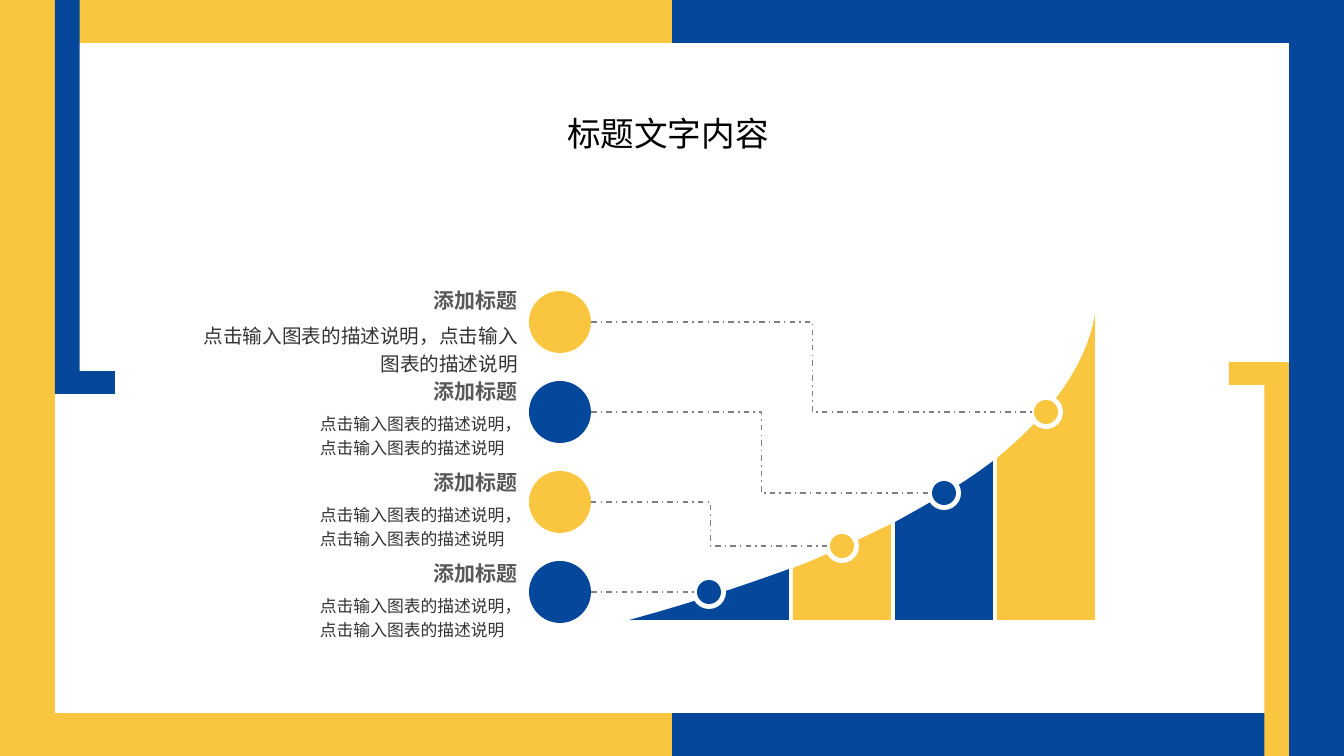
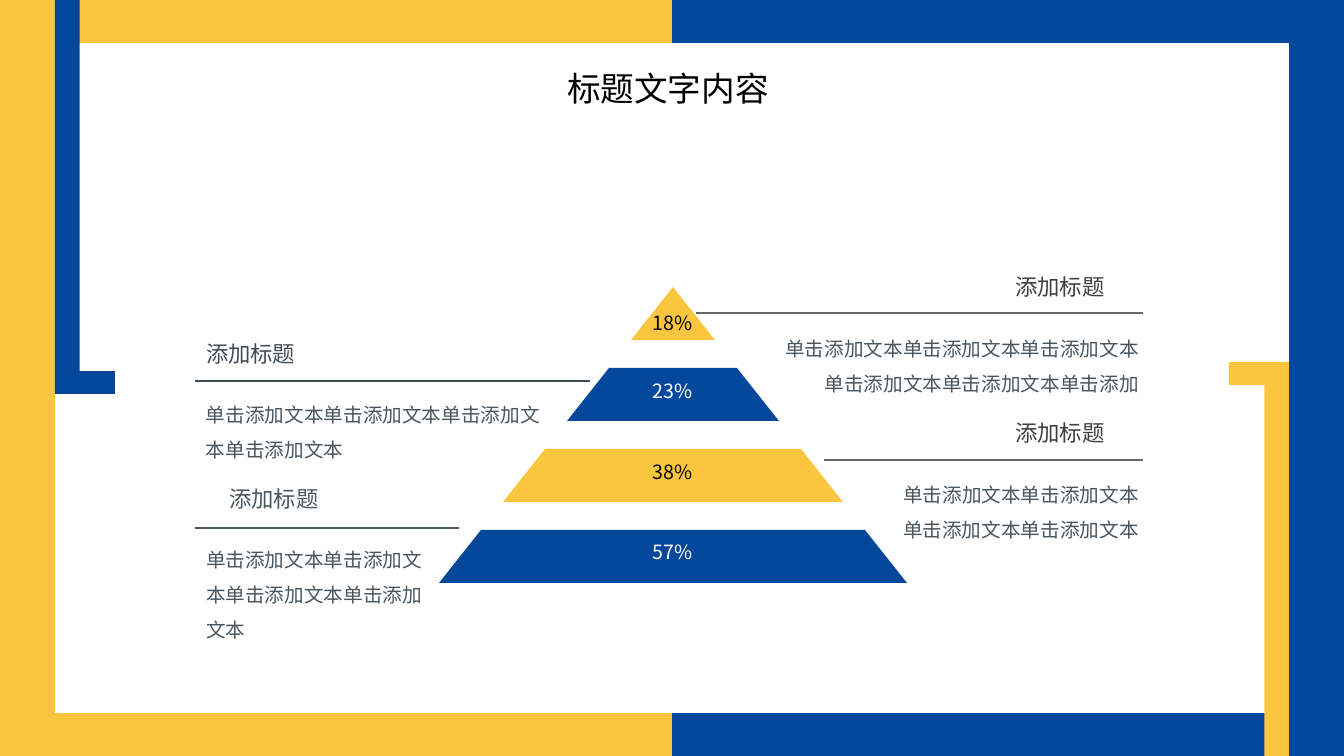
"""Build two framed chart slides: a growth curve and a percentage pyramid."""
from dataclasses import dataclass
from typing import Optional

import lxml.etree
import pptx
import pptx.dml.color
import pptx.enum.dml
import pptx.enum.shapes
import pptx.enum.text
import pptx.oxml.ns
import pptx.util

EMU_PER_PX = 914400 / 100.8
SLIDE_WIDTH, SLIDE_HEIGHT = 1344, 756
FONT = "Noto Sans CJK SC"
COLORS = {
    "yellow": "FBC63F", "blue": "05489B", "white": "FFFFFF", "black": "000000",
    "connector": "808080", "label": "595959", "description": "333333",
    "right_line": "686868", "right_label": "404040",
    "slate": "49555F", "dark_slate": "414C55",
}
SHAPES = pptx.enum.shapes.MSO_SHAPE
CONNECTORS = pptx.enum.shapes.MSO_CONNECTOR
ALIGN = pptx.enum.text.PP_ALIGN
DASH = pptx.enum.dml.MSO_LINE

HEADING = "标题文字内容"
LABEL = "添加标题"
DESCRIPTION = "点击输入图表的描述说明，点击输入图表的描述说明"
BODY = "单击添加文本" * 4
LONG_BODY = "单击添加文本" * 5 + "单击添加"

BASELINE = 620
CURVE_STEPS = 16
CIRCLE_LEFT, CIRCLE_TOP, CIRCLE_SIZE, CIRCLE_PITCH = 529, 291, 62, 90
DOT_SIZE, RING_SIZE = 24, 34
LABEL_TOP, DESCRIPTION_TOP, TEXT_RIGHT, TEXT_PITCH = 284, 315, 525, 91
PYRAMID_CENTER, PYRAMID_TOP = 673, 287
TIER_HEIGHT, TIER_PITCH, TIER_SLANT, TIER_STEP = 53, 81, 42, 64


@dataclass(frozen=True)
class Box:
    left: int
    top: int
    width: int
    height: int


@dataclass(frozen=True)
class TextStyle:
    size: int
    color: str
    align: ALIGN = ALIGN.LEFT
    bold: bool = False
    wrap: bool = False
    spacing: Optional[float] = None
    margin: tuple[int, int] = (10, 5)


@dataclass(frozen=True)
class Milestone:
    color: str
    dot: tuple[int, int]
    curve: tuple[tuple[int, int], ...]
    description_width: int = 212
    description_size: int = 12
    align: ALIGN = ALIGN.LEFT


@dataclass(frozen=True)
class Note:
    label: Box
    label_color: str
    label_align: ALIGN
    body: Box
    body_text: str
    body_align: ALIGN
    line: tuple[int, int, int]
    line_color: str


@dataclass(frozen=True)
class Tier:
    text: str
    color: str
    text_color: str
    text_top: int


MILESTONES = [
    Milestone("yellow", (1046, 412), ((997, 458), (1042, 421), (1086, 371), (1095, 314)),
              345, 14, ALIGN.RIGHT),
    Milestone("blue", (944, 493), ((895, 522), (928, 504), (963, 484), (993, 461))),
    Milestone("yellow", (842, 546), ((793, 568), (827, 555), (860, 539), (891, 524))),
    Milestone("blue", (709, 592), ((629, 620), (684, 605), (737, 588), (789, 569))),
]
NOTES = [
    Note(Box(993, 268, 134, 45), "right_label", ALIGN.CENTER,
         Box(764, 320, 385, 78), LONG_BODY, ALIGN.RIGHT, (696, 1143, 313), "right_line"),
    Note(Box(993, 414, 134, 45), "right_label", ALIGN.CENTER,
         Box(884, 466, 265, 78), BODY, ALIGN.RIGHT, (824, 1143, 460), "right_line"),
    Note(Box(196, 335, 134, 45), "dark_slate", ALIGN.LEFT,
         Box(196, 386, 372, 78), BODY, ALIGN.LEFT, (195, 590, 381), "dark_slate"),
    Note(Box(207, 480, 134, 45), "slate", ALIGN.CENTER,
         Box(196, 531, 251, 113), BODY, ALIGN.LEFT, (195, 459, 528), "slate"),
]
TIERS = [
    Tier("18%", "yellow", "black", 306),
    Tier("23%", "blue", "white", 374),
    Tier("38%", "yellow", "black", 455),
    Tier("57%", "blue", "white", 535),
]


def px(value: float) -> pptx.util.Emu:
    return pptx.util.Emu(round(value * EMU_PER_PX))


def rgb(name: str) -> pptx.dml.color.RGBColor:
    return pptx.dml.color.RGBColor.from_string(COLORS[name])


def paint(shape, color: str) -> None:
    shape.shadow.inherit = False
    shape.fill.solid()
    shape.fill.fore_color.rgb = rgb(color)
    shape.line.fill.background()


def add_filled(slide, kind: SHAPES, box: Box, color: str):
    shape = slide.shapes.add_shape(
        kind, px(box.left), px(box.top), px(box.width), px(box.height))
    paint(shape, color)
    return shape


def add_disc(slide, center: tuple[int, int], size: int, color: str) -> None:
    box = Box(center[0] - size // 2, center[1] - size // 2, size, size)
    add_filled(slide, SHAPES.OVAL, box, color)


def add_text(slide, box: Box, text: str, style: TextStyle) -> None:
    shape = slide.shapes.add_textbox(
        px(box.left), px(box.top), px(box.width), px(box.height))
    frame = shape.text_frame
    frame.text = text
    frame.word_wrap = style.wrap
    frame.auto_size = pptx.enum.text.MSO_AUTO_SIZE.SHAPE_TO_FIT_TEXT
    frame.margin_left = frame.margin_right = px(style.margin[0])
    frame.margin_top = frame.margin_bottom = px(style.margin[1])
    paragraph = frame.paragraphs[0]
    paragraph.alignment = style.align
    paragraph.line_spacing = style.spacing
    for run in paragraph.runs:
        run.font.size = pptx.util.Pt(style.size)
        run.font.bold = style.bold
        run.font.color.rgb = rgb(style.color)
        run.font.name = FONT
        properties = run.font._element
        east_asian = lxml.etree.SubElement(properties, pptx.oxml.ns.qn("a:ea"))
        east_asian.set("typeface", FONT)


def add_line(slide, start: tuple[int, int], end: tuple[int, int], color: str,
             width: float, dash: Optional[DASH] = None) -> None:
    kind = CONNECTORS.STRAIGHT if start[1] == end[1] else CONNECTORS.ELBOW
    connector = slide.shapes.add_connector(
        kind, px(start[0]), px(start[1]), px(end[0]), px(end[1]))
    connector.line.color.rgb = rgb(color)
    connector.line.width = pptx.util.Pt(width)
    if dash is not None:
        connector.line.dash_style = dash
    lxml.etree.SubElement(connector._element.spPr, pptx.oxml.ns.qn("a:effectLst"))


def curve_point(curve: tuple[tuple[int, int], ...], t: float) -> tuple[int, int]:
    weights = ((1 - t) ** 3, 3 * t * (1 - t) ** 2, 3 * t * t * (1 - t), t ** 3)
    x, y = (sum(w * point[axis] for w, point in zip(weights, curve)) for axis in (0, 1))
    return px(x), px(y)


def add_area(slide, milestone: Milestone) -> None:
    curve = milestone.curve
    outline = [curve_point(curve, i / CURVE_STEPS) for i in range(CURVE_STEPS + 1)]
    outline += [(px(x), px(BASELINE)) for x in (curve[-1][0], curve[0][0])]
    builder = slide.shapes.build_freeform(*outline[0])
    builder.add_line_segments(outline[1:], close=True)
    paint(builder.convert_to_shape(), milestone.color)


def add_framed_slide(presentation, heading_top: int):
    slide = presentation.slides.add_slide(presentation.slide_layouts[6])
    half = SLIDE_WIDTH // 2
    add_filled(slide, SHAPES.RECTANGLE, Box(half, 0, half, SLIDE_HEIGHT), "blue")
    add_filled(slide, SHAPES.RECTANGLE, Box(0, 0, half, SLIDE_HEIGHT), "yellow")
    add_filled(slide, SHAPES.RECTANGLE, Box(55, 43, 1234, 670), "white")
    for left, top, color, rotation in ((55, 0, "blue", 0), (1229, 362, "yellow", 180)):
        bracket = add_filled(slide, SHAPES.CORNER, Box(left, top, 60, 394), color)
        bracket.adjustments[0] = 0.38
        bracket.adjustments[1] = 0.41
        bracket.rotation = rotation
    add_text(slide, Box(551, heading_top, 234, 50), HEADING,
             TextStyle(24, "black", ALIGN.CENTER))
    return slide


def build_growth_slide(presentation) -> None:
    slide = add_framed_slide(presentation, 108)
    for milestone in MILESTONES:
        add_area(slide, milestone)
        add_disc(slide, milestone.dot, RING_SIZE, "white")
    label_style = TextStyle(15, "label", ALIGN.RIGHT, bold=True, margin=(7, 4))
    for row, milestone in enumerate(MILESTONES):
        radius = CIRCLE_SIZE // 2
        center = (CIRCLE_LEFT + radius, CIRCLE_TOP + row * CIRCLE_PITCH + radius)
        dot_x, dot_y = milestone.dot
        add_line(slide, (center[0] + radius, center[1]), (dot_x - DOT_SIZE // 2, dot_y),
                 "connector", 1, DASH.DASH_DOT)
        add_disc(slide, center, CIRCLE_SIZE, milestone.color)
        add_disc(slide, milestone.dot, DOT_SIZE, milestone.color)
        offset = row * TEXT_PITCH
        add_text(slide, Box(TEXT_RIGHT - 100, LABEL_TOP + offset, 100, 33), LABEL, label_style)
        width = milestone.description_width
        add_text(slide, Box(TEXT_RIGHT - width, DESCRIPTION_TOP + offset, width, 54), DESCRIPTION,
                 TextStyle(milestone.description_size, "description", milestone.align,
                           wrap=True, spacing=1.2, margin=(7, 4)))


def build_pyramid_slide(presentation) -> None:
    slide = add_framed_slide(presentation, 63)
    for note in NOTES:
        left, right, y = note.line
        add_line(slide, (left, y), (right, y), note.line_color, 1.25)
        add_text(slide, note.label, LABEL, TextStyle(16, note.label_color, note.label_align))
        add_text(slide, note.body, note.body_text,
                 TextStyle(14, "slate", note.body_align, wrap=True, spacing=1.5))
    for level, tier in enumerate(TIERS):
        half = TIER_STEP * level + TIER_SLANT
        box = Box(PYRAMID_CENTER - half, PYRAMID_TOP + TIER_PITCH * level, 2 * half, TIER_HEIGHT)
        trapezoid = add_filled(slide, SHAPES.TRAPEZOID, box, tier.color)
        trapezoid.adjustments[0] = TIER_SLANT / TIER_HEIGHT
        add_text(slide, Box(PYRAMID_CENTER - 31, tier.text_top, 62, 34), tier.text,
                 TextStyle(14, tier.text_color, ALIGN.CENTER))


def main() -> None:
    presentation = pptx.Presentation()
    presentation.slide_width = px(SLIDE_WIDTH)
    presentation.slide_height = px(SLIDE_HEIGHT)
    build_growth_slide(presentation)
    build_pyramid_slide(presentation)
    presentation.save("out.pptx")


if __name__ == "__main__":
    main()
